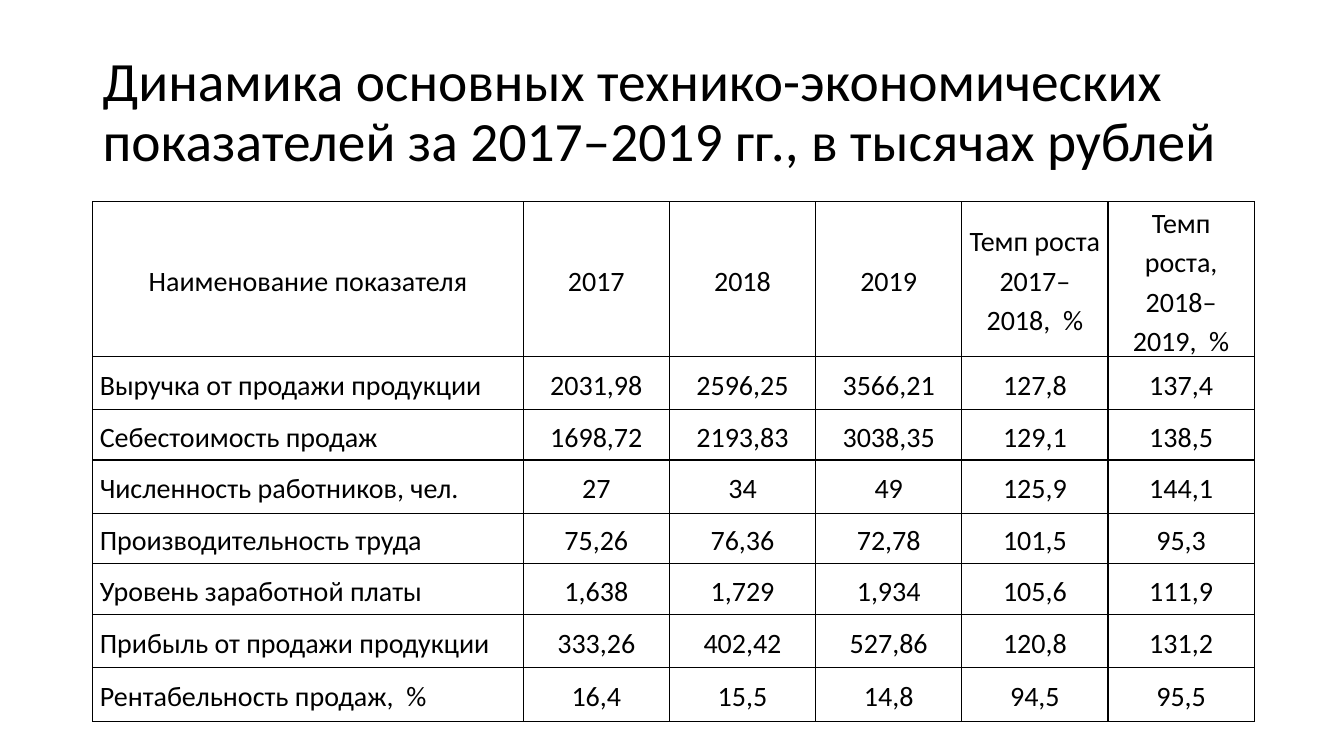
from dataclasses import dataclass

from lxml.etree import SubElement
from pptx import Presentation
from pptx.dml.color import RGBColor
from pptx.enum.text import MSO_ANCHOR, PP_ALIGN
from pptx.oxml.ns import qn
from pptx.slide import Slide
from pptx.table import _Cell as Cell
from pptx.text.text import _Paragraph as Paragraph
from pptx.util import Inches, Pt

BLACK = RGBColor(0x00, 0x00, 0x00)
WHITE = RGBColor(0xFF, 0xFF, 0xFF)
FONT = "Calibri"
LEFT, WIDTH = 0.92, 11.5
TITLE = "Динамика основных технико-экономических показателей за 2017–2019 гг., в тысячах рублей"
COLUMN_WIDTHS = [4.27] + [1.45] * 5


@dataclass(frozen=True)
class IndicatorRow:
    height: float
    label: str
    values: tuple[str, ...]


ROWS = [
    IndicatorRow(1.31, "Наименование показателя",
                 ("2017", "2018", "2019", "Темп роста 2017–2018,  %", "Темп роста, 2018–2019,  %")),
    IndicatorRow(0.53, "Выручка от продажи продукции",
                 ("2031,98", "2596,25", "3566,21", "127,8", "137,4")),
    IndicatorRow(0.5, "Себестоимость продаж",
                 ("1698,72", "2193,83", "3038,35", "129,1", "138,5")),
    IndicatorRow(0.53, "Численность работников, чел.",
                 ("27", "34", "49", "125,9", "144,1")),
    IndicatorRow(0.5, "Производительность труда",
                 ("75,26", "76,36", "72,78", "101,5", "95,3")),
    IndicatorRow(0.5, "Уровень заработной платы",
                 ("1,638", "1,729", "1,934", "105,6", "111,9")),
    IndicatorRow(0.53, "Прибыль от продажи продукции",
                 ("333,26", "402,42", "527,86", "120,8", "131,2")),
    IndicatorRow(0.53, "Рентабельность продаж,  %",
                 ("16,4", "15,5", "14,8", "94,5", "95,5")),
]


def write_text(paragraph: Paragraph, text: str, size: float, spacing: float,
               alignment: PP_ALIGN) -> None:
    paragraph.text = text
    paragraph.alignment = alignment
    paragraph.line_spacing = spacing
    font = paragraph.font
    font.name, font.size, font.bold = FONT, Pt(size), False
    font.color.rgb = BLACK


def add_borders(cell: Cell) -> None:
    properties = cell._tc.get_or_add_tcPr()
    for side in ("lnL", "lnR", "lnT", "lnB"):
        line = SubElement(properties, qn(f"a:{side}"), w=str(Pt(1)))
        fill = SubElement(line, qn("a:solidFill"))
        SubElement(fill, qn("a:srgbClr"), val=str(BLACK))


def fill_cell(cell: Cell, text: str, alignment: PP_ALIGN) -> None:
    cell.vertical_anchor = MSO_ANCHOR.MIDDLE
    cell.margin_left = cell.margin_right = Inches(0.07)
    cell.margin_top = cell.margin_bottom = 0
    add_borders(cell)
    cell.fill.solid()
    cell.fill.fore_color.rgb = WHITE
    write_text(cell.text_frame.paragraphs[0], text, 20, 1.15, alignment)


def add_title(slide: Slide) -> None:
    box = slide.shapes.add_textbox(Inches(LEFT), Inches(0.4), Inches(WIDTH), Inches(1.45))
    frame = box.text_frame
    frame.word_wrap = True
    frame.vertical_anchor = MSO_ANCHOR.MIDDLE
    write_text(frame.paragraphs[0], TITLE, 39.6, 0.9, PP_ALIGN.LEFT)


def add_indicator_table(slide: Slide) -> None:
    height = sum(row.height for row in ROWS)
    table = slide.shapes.add_table(len(ROWS), len(COLUMN_WIDTHS), Inches(LEFT), Inches(2),
                                   Inches(WIDTH), Inches(height)).table
    table.first_row = table.horz_banding = False
    for column, width in zip(table.columns, COLUMN_WIDTHS):
        column.width = Inches(width)
    for row_index, row in enumerate(ROWS):
        table.rows[row_index].height = Inches(row.height)
        for column_index, text in enumerate((row.label, *row.values)):
            is_label = row_index > 0 and column_index == 0
            fill_cell(table.cell(row_index, column_index), text,
                      PP_ALIGN.LEFT if is_label else PP_ALIGN.CENTER)


def main() -> None:
    presentation = Presentation()
    presentation.slide_width = Inches(13.33)
    presentation.slide_height = Inches(7.5)
    slide = presentation.slides.add_slide(presentation.slide_layouts[6])
    add_title(slide)
    add_indicator_table(slide)
    presentation.save("out.pptx")


if __name__ == "__main__":
    main()
